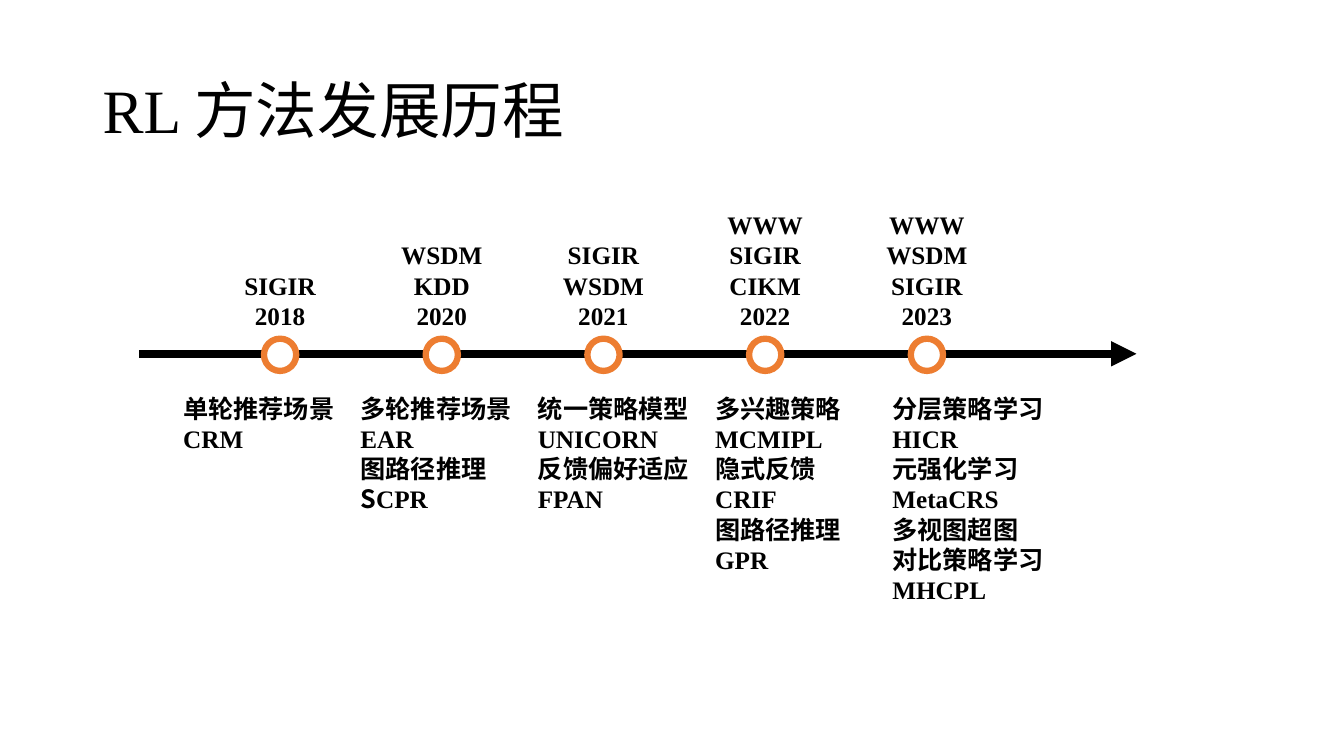
from pptx import Presentation
from pptx.dml.color import RGBColor
from pptx.enum.shapes import MSO_CONNECTOR, MSO_SHAPE
from pptx.enum.text import MSO_ANCHOR, PP_ALIGN
from pptx.oxml.ns import qn
from pptx.util import Inches, Pt
from lxml.etree import SubElement

LATIN, CJK = "Times New Roman", "Noto Sans CJK SC"
BLACK, WHITE, ORANGE = "000000", "FFFFFF", "ED7D31"
LINE_HEIGHT, INSET = 0.3, 0.05
NODE_SIZE, NODE_STEP, FIRST_NODE = 0.32, 1.605, 1.4
TOPIC_STEP, FIRST_TOPIC, TOPIC_WIDTH = 1.76, 0.34, 2.0
VENUE_WIDTH, VENUE_GAP, TOPIC_GAP = 1.16, 0.18, 0.34

MILESTONES = [
    (["SIGIR", "2018"], ["单轮推荐场景", "CRM"]),
    (["WSDM", "KDD", "2020"], ["多轮推荐场景", "EAR", "图路径推理", ("S", "CPR")]),
    (["SIGIR", "WSDM", "2021"], ["统一策略模型", "UNICORN", "反馈偏好适应", "FPAN"]),
    (["WWW", "SIGIR", "CIKM", "2022"],
     ["多兴趣策略", "MCMIPL", "隐式反馈", "CRIF", "图路径推理", "GPR"]),
    (["WWW", "WSDM", "SIGIR", "2023"],
     ["分层策略学习", "HICR", "元强化学习", "MetaCRS", "多视图超图", "对比策略学习", "MHCPL"]),
]


def color(value):
    """Turn a hex string into a colour."""
    return RGBColor.from_string(value)


def add_text(slide, box, lines, size=18, bold=True, align=PP_ALIGN.LEFT,
             anchor=MSO_ANCHOR.TOP, spacing=1.0):
    """Write one paragraph per line; a pair starts with a sans-serif part."""
    frame = slide.shapes.add_textbox(*map(Inches, box)).text_frame
    frame.word_wrap = True
    frame.vertical_anchor = anchor
    for index, line in enumerate(lines):
        paragraph = frame.paragraphs[0] if index == 0 else frame.add_paragraph()
        paragraph.alignment = align
        paragraph.line_spacing = spacing
        font = paragraph.font
        font.size, font.bold, font.name = Pt(size), bold, LATIN
        font.color.rgb = color(BLACK)
        defaults = paragraph._p.pPr.find(qn("a:defRPr"))
        SubElement(defaults, qn("a:ea")).set("typeface", CJK)
        sans, text = line if isinstance(line, tuple) else ("", line)
        if sans:
            run = paragraph.add_run()
            run.text, run.font.name = sans, CJK
        paragraph.add_run().text = text


def add_axis(slide, left, top, width):
    """Draw the thick arrow of the timeline."""
    axis = slide.shapes.add_connector(
        MSO_CONNECTOR.STRAIGHT, *map(Inches, (left, top, left + width, top)))
    axis.line.color.rgb = color(BLACK)
    axis.line.width = Pt(6)
    SubElement(axis.line._get_or_add_ln(), qn("a:tailEnd")).set("type", "triangle")
    SubElement(axis._element.spPr, qn("a:effectLst"))


def add_node(slide, center, middle):
    """Draw a ring around a point of the axis."""
    corner = center - NODE_SIZE / 2, middle - NODE_SIZE / 2
    node = slide.shapes.add_shape(
        MSO_SHAPE.OVAL, *map(Inches, (*corner, NODE_SIZE, NODE_SIZE)))
    node.shadow.inherit = False
    node.fill.solid()
    node.fill.fore_color.rgb = color(WHITE)
    node.line.color.rgb = color(ORANGE)
    node.line.width = Pt(4.5)


def add_timeline(slide, left, top, width):
    """Place the axis with venues above and topics below each node."""
    add_axis(slide, left, top, width)
    for index, (venues, topics) in enumerate(MILESTONES):
        center = left + FIRST_NODE + index * NODE_STEP
        add_node(slide, center, top + 0.01)
        height = len(venues) * LINE_HEIGHT + 2 * INSET
        add_text(slide, (center - VENUE_WIDTH / 2, top - VENUE_GAP - height,
                         VENUE_WIDTH, height), venues, align=PP_ALIGN.CENTER)
        topic_left = left + FIRST_TOPIC + index * TOPIC_STEP
        height = len(topics) * LINE_HEIGHT + 2 * INSET
        add_text(slide, (topic_left, top + TOPIC_GAP, TOPIC_WIDTH, height), topics)


def main():
    """Build the slide and save it."""
    presentation = Presentation()
    presentation.slide_width = Inches(13.34)
    presentation.slide_height = Inches(7.5)
    slide = presentation.slides.add_slide(presentation.slide_layouts[6])
    add_text(slide, (0.92, 0.4, 11.5, 1.45), ["RL 方法发展历程"], size=44,
             bold=False, anchor=MSO_ANCHOR.MIDDLE, spacing=0.9)
    add_timeline(slide, 1.38, 3.51, 9.9)
    presentation.save("out.pptx")


if __name__ == "__main__":
    main()
